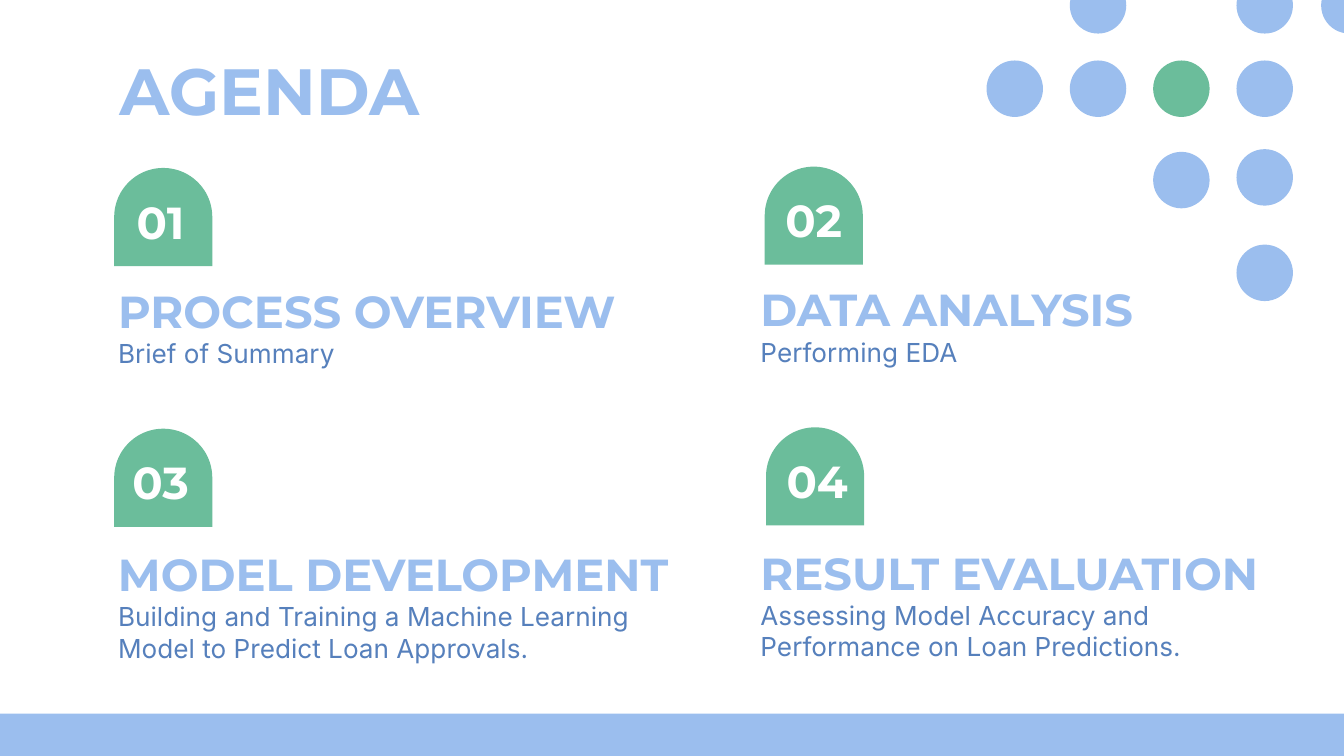
from pptx import Presentation
from pptx.dml.color import RGBColor
from pptx.enum.shapes import MSO_SHAPE as Shape
from pptx.enum.text import MSO_ANCHOR as Anchor, PP_ALIGN as Align
from pptx.util import Inches, Pt

COLORS = {"blue": "9BBEEE", "green": "6BBD9B", "text": "5680BC", "white": "FFFFFF"}
HEADING_FONT, BODY_FONT = "Montserrat", "Inter"
SLIDE_WIDTH = 10
SLIDE_HEIGHT = SLIDE_WIDTH * 9 / 16
BADGE_SIZE = 0.73
DOT_SIZE = 0.42
DOT_COLUMNS = [0, 0.62, 1.24, 1.86, 2.49]

# left, top, badge offset, number offset, number width, title offset,
# description offset, number, title, title width, description, its width and height
ITEMS = [
    (0.78, 1.25, 0.07, 0.05, 0.73, 0.72, 1.16, "01",
     "PROCESS OVERVIEW", 4.09, "Brief of Summary", 2.55, 0.53),
    (5.56, 1.24, 0.13, 0.18, 0.63, 0.72, 1.16, "02",
     "DATA ANALYSIS", 3.44, "Performing EDA", 2.55, 0.53),
    (0.78, 3.19, 0.07, 0.05, 0.73, 0.74, 1.18, "03", "MODEL DEVELOPMENT", 4.44,
     "Building and Training a Machine Learning Model to Predict Loan Approvals.",
     4.09, 0.64),
    (5.56, 3.18, 0.14, 0.18, 0.68, 0.74, 1.18, "04", "RESULT EVALUATION", 4.18,
     "Assessing Model Accuracy and Performance on Loan Predictions.", 3.77, 0.62),
]

# column, top, colour
DOTS = [
    (4, -0.17, "blue"), (3, -0.17, "blue"), (1, -0.17, "blue"),
    (0, 0.45, "blue"), (1, 0.45, "blue"), (2, 0.45, "green"), (3, 0.45, "blue"),
    (2, 1.13, "blue"), (3, 1.11, "blue"), (3, 1.82, "blue"),
]


def add_filled(page, kind, left, top, width, height, color):
    shape = page.shapes.add_shape(
        kind, Inches(left), Inches(top), Inches(width), Inches(height))
    shape.shadow.inherit = False
    shape.fill.solid()
    shape.fill.fore_color.rgb = RGBColor.from_string(COLORS[color])
    shape.line.fill.background()
    return shape


def add_text(page, left, top, width, height, text, size, color,
             font=HEADING_FONT, anchor=Anchor.TOP, align=Align.LEFT):
    box = page.shapes.add_textbox(
        Inches(left), Inches(top), Inches(width), Inches(height))
    frame = box.text_frame
    frame.word_wrap = True
    frame.vertical_anchor = anchor
    frame.margin_left = frame.margin_right = Inches(0.1)
    frame.margin_top = frame.margin_bottom = Inches(0.1)
    para = frame.paragraphs[0]
    para.alignment = align
    span = para.add_run()
    span.text = text
    span.font.name = font
    span.font.size = Pt(size)
    span.font.bold = font == HEADING_FONT
    span.font.color.rgb = RGBColor.from_string(COLORS[color])


def add_item(page, left, top, badge_dx, number_dx, number_width, title_dy, body_dy,
             number, title, title_width, body, body_width, body_height):
    """Place a numbered badge with its title and description below."""
    badge = add_filled(page, Shape.ROUND_2_SAME_RECTANGLE, left + badge_dx, top,
                       BADGE_SIZE, BADGE_SIZE, "green")
    badge.adjustments[0] = 0.5
    badge.adjustments[1] = 0
    add_text(page, left + number_dx, top + 0.07, number_width, 0.65, number, 24,
             "white", anchor=Anchor.MIDDLE, align=Align.CENTER)
    add_text(page, left, top + title_dy, title_width, 0.64, title, 24, "blue",
             anchor=Anchor.BOTTOM)
    add_text(page, left, top + body_dy, body_width, body_height, body, 14, "text",
             font=BODY_FONT)


def add_dots(page, left, top):
    for column, row_top, color in DOTS:
        add_filled(page, Shape.OVAL, left + DOT_COLUMNS[column], top + row_top,
                   DOT_SIZE, DOT_SIZE, color)


def main():
    deck = Presentation()
    deck.slide_width, deck.slide_height = Inches(SLIDE_WIDTH), Inches(SLIDE_HEIGHT)
    page = deck.slides.add_slide(deck.slide_layouts[6])
    add_filled(page, Shape.RECTANGLE, -0.01, 5.31, 10.01, 0.33, "blue")
    add_text(page, 0.79, 0.27, 2.54, 0.73, "AGENDA", 35, "blue")
    for item in ITEMS:
        add_item(page, *item)
    add_dots(page, 7.34, 0)
    deck.save("out.pptx")


if __name__ == "__main__":
    main()
